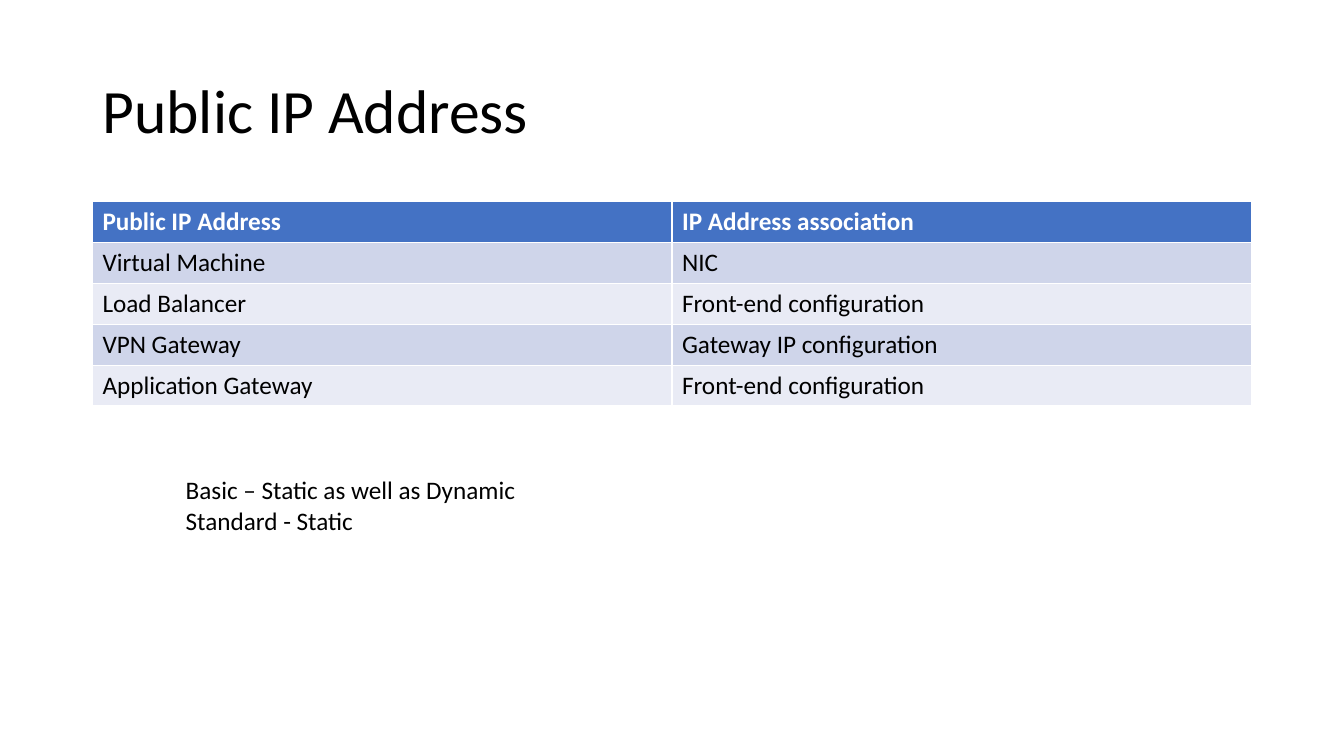
from typing import NamedTuple

from pptx import Presentation
from pptx.dml.color import RGBColor
from pptx.enum.text import MSO_ANCHOR, MSO_AUTO_SIZE, PP_ALIGN
from pptx.util import Cm, Pt

LEFT, WIDTH = Cm(2.33), Cm(29.21)
ROW_HEIGHT = Cm(1.03)
HEADER_FILL = "4472C4"
BAND_FILLS = ("CFD5EA", "E9EBF5")


class Association(NamedTuple):
    resource: str
    target: str


HEADER = Association("Public IP Address", "IP Address association")
ASSOCIATIONS = [
    Association("Virtual Machine", "NIC"),
    Association("Load Balancer", "Front-end configuration"),
    Association("VPN Gateway", "Gateway IP configuration"),
    Association("Application Gateway", "Front-end configuration"),
]
SKU_NOTES = ["Basic – Static as well as Dynamic", "Standard - Static"]


def rgb(color: str) -> RGBColor:
    return RGBColor.from_string(color)


def write(p, text: str, *, size: float = 18, color: str = "000000",
          bold: bool = False, font: str = "Calibri") -> None:
    r = p.add_run()
    r.text = text
    r.font.name = font
    r.font.size = Pt(size)
    r.font.bold = bold
    r.font.color.rgb = rgb(color)


def add_title(s, text: str) -> None:
    sp = s.shapes.title
    sp.left, sp.top, sp.width, sp.height = LEFT, Cm(1.01), WIDTH, Cm(3.68)
    tf = sp.text_frame
    tf.vertical_anchor = MSO_ANCHOR.MIDDLE
    p = tf.paragraphs[0]
    p.alignment = PP_ALIGN.LEFT
    p.line_spacing = 0.9
    write(p, text, size=44)


def add_associations(s, rows: list[Association]) -> None:
    """Draw the header row and the banded rows below it."""
    table = s.shapes.add_table(len(rows) + 1, 2, LEFT, Cm(5.08), WIDTH,
                               ROW_HEIGHT * (len(rows) + 1)).table
    for i, row in enumerate([HEADER, *rows]):
        is_header = i == 0
        fill = HEADER_FILL if is_header else BAND_FILLS[(i - 1) % 2]
        for cell, text in zip(table.rows[i].cells, row):
            cell.fill.solid()
            cell.fill.fore_color.rgb = rgb(fill)
            write(cell.text_frame.paragraphs[0], text, bold=is_header,
                  color="FFFFFF" if is_header else "000000")


def add_notes(s, lines: list[str]) -> None:
    tf = s.shapes.add_textbox(Cm(4.43), Cm(11.84), Cm(8.92), Cm(1.8)).text_frame
    tf.word_wrap = False
    tf.auto_size = MSO_AUTO_SIZE.SHAPE_TO_FIT_TEXT
    for i, line in enumerate(lines):
        write(tf.add_paragraph() if i else tf.paragraphs[0], line)


def main() -> None:
    prs = Presentation()
    prs.slide_width, prs.slide_height = Cm(33.87), Cm(19.05)
    s = prs.slides.add_slide(prs.slide_layouts.get_by_name("Title Only"))
    add_title(s, "Public IP Address")
    add_associations(s, ASSOCIATIONS)
    add_notes(s, SKU_NOTES)
    prs.save("out.pptx")


if __name__ == "__main__":
    main()
